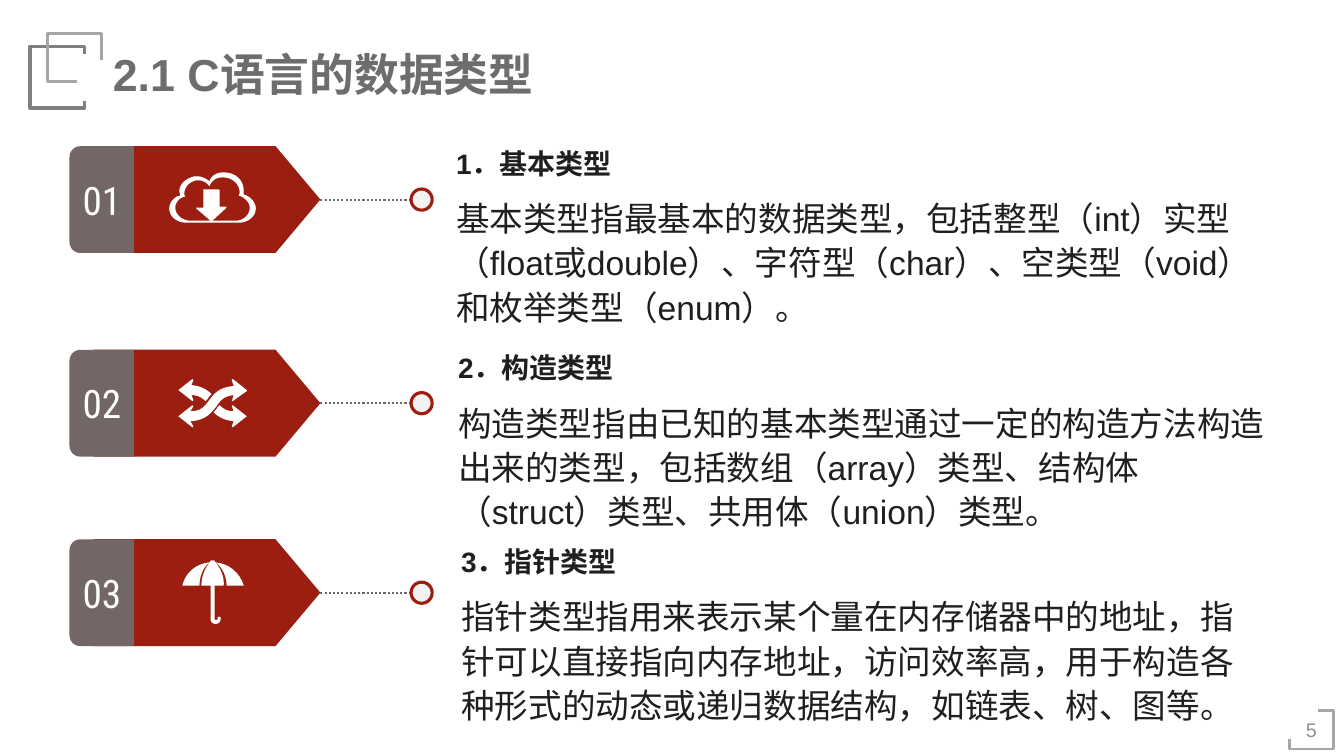
import dataclasses
import pptx
import pptx.dml.color
import pptx.enum.dml
import pptx.enum.lang
import pptx.enum.shapes
import pptx.enum.text
import pptx.oxml.ns
import pptx.util
import lxml.etree

SHAPE = pptx.enum.shapes.MSO_SHAPE
ALIGN = pptx.enum.text.PP_ALIGN
MIDDLE = pptx.enum.text.MSO_ANCHOR.MIDDLE


@dataclasses.dataclass(frozen=True)
class Theme:
    red: str = "9B1E11"
    taupe: str = "736666"
    white: str = "FFFFFF"
    dot: str = "F2F2F2"
    ink: str = "1F1F1F"
    title: str = "6D6D6D"
    number: str = "8F8F8F"
    dark_bracket: str = "7F7F7F"
    light_bracket: str = "A6A6A6"
    font: str = "Arial"
    tab_font: str = "Roboto Condensed"
    title_size: int = 32
    tab_size: int = 28
    body_size: int = 24
    head_size: int = 20
    number_size: int = 14


T = Theme()

TITLE = "2.1 C语言的数据类型"
PAGE = "5"

CLOUD = [
    [(31, -5), (31, -6, 31, -8, 31, -9), (31, -19, 23, -27, 11, -27),
     (-1, -27, -3, -18, -3, -18), (-3, -18, -9, -24, -18, -23),
     (-27, -21, -33, -15, -33, -8), (-33, -7, -32, -6, -32, -4),
     (-38, -3, -43, 3, -43, 9), (-43, 17, -35, 23, -26, 23), (26, 23),
     (35, 23, 43, 17, 43, 9), (43, 3, 38, -3, 31, -5)],
    [(23, 21), (0, 21), (2, 19, 13, 9, 13, 9), (13, 9, 15, 7, 13, 7), (7, 7),
     (7, -9), (7, -9, 7, -10, 6, -10), (-8, -10), (-10, -10, -9, -9, -9, -9),
     (-9, 8), (-15, 8), (-17, 8, -16, 9, -16, 9), (-2, 21), (-22, 21),
     (-30, 21, -37, 15, -37, 8), (-37, 3, -33, -2, -27, -3),
     (-28, -4, -28, -5, -28, -6), (-28, -12, -23, -18, -16, -19),
     (-7, -20, -3, -13, -3, -13), (-3, -13, -1, -22, 10, -22),
     (20, -22, 27, -15, 27, -7), (27, -6, 26, -4, 26, -4),
     (32, -2, 37, 3, 37, 8), (37, 15, 31, 21, 23, 21)],
]
HALF_ARROW = [(34, 13), (20, 24), (19, 23), (21, 18), (11, 17, 5, 13, 1, 9),
              (3, 7, 4, 6, 5, 4), (7, 2), (10, 5, 14, 8, 21, 8), (19, 3), (20, 2)]
SHUFFLE = [
    HALF_ARROW,
    [tuple(-v for v in step) for step in HALF_ARROW],
    [(4, 3), (8, -3, 11, -7, 21, -8), (19, -2), (20, -2), (34, -12), (34, -13),
     (20, -24), (19, -23), (21, -17), (6, -16, 1, -9, -4, -2),
     (-8, 3, -11, 8, -22, 8), (-19, 3), (-20, 2), (-34, 13), (-20, 24),
     (-19, 23), (-22, 18), (-6, 17, -1, 9, 4, 3)],
]
UMBRELLA = [
    [(14, -7), (31, -7), (27, -20, 16, -29, 3, -30), (2, -32, 2, -32, 0, -32),
     (-1, -32, -2, -32, -3, -30), (-16, -29, -27, -20, -30, -7), (-13, -7),
     (-13, -21, -5, -29, -3, -30), (-12, -18, -11, -7, -11, -7), (-2, -7),
     (-2, 26), (-2, 29, 0, 31, 3, 31), (6, 31, 8, 29, 8, 26), (8, 24), (5, 24),
     (5, 26), (5, 27, 4, 27, 3, 27), (2, 27, 2, 26, 2, 26), (2, -7), (11, -7),
     (11, -7, 13, -18, 3, -30), (5, -29, 14, -21, 14, -7)],
]

ROWS = [
    dict(tab="01", icon=CLOUD, mid=19.8, head_top=14, text_left=44.3, width=83.8,
         head="1．基本类型",
         body="基本类型指最基本的数据类型，包括整型（int）实型（float或double）、"
              "字符型（char）、空类型（void）和枚举类型（enum）。"),
    dict(tab="02", icon=SHUFFLE, mid=40, head_top=34.3, text_left=44.5, width=83.4,
         head="2．构造类型",
         body="构造类型指由已知的基本类型通过一定的构造方法构造出来的类型，"
              "包括数组（array）类型、结构体（struct）类型、共用体（union）类型。"),
    dict(tab="03", icon=UMBRELLA, mid=58.8, head_top=53.5, text_left=44.8, width=80.1,
         head="3．指针类型",
         body="指针类型指用来表示某个量在内存储器中的地址，指针可以直接指向内存地址，"
              "访问效率高，用于构造各种形式的动态或递归数据结构，如链表、树、图等。"),
]
BRACKETS = [
    ([(8.4, 5.4), (8.4, 4.6), (3, 4.6), (3, 10.7), (8.4, 10.7), (8.4, 10)],
     T.dark_bracket, 2.5),
    ([(10.1, 6), (10.1, 3.3), (4.7, 3.3), (4.7, 8.1), (7.6, 8.1)],
     T.light_bracket, 2.5),
    ([(128, 73.3), (128, 74.3), (132.4, 74.3), (132.4, 70.5), (130.8, 70.5)],
     T.light_bracket, 2),
]

CELL = 0.1
ICON_MID = 21.1
CURVE_STEPS = 8


def cells(n):
    return pptx.util.Inches(n * CELL)


def box(*lengths):
    return [cells(n) for n in lengths]


def rgb(code):
    return pptx.dml.color.RGBColor.from_string(code)


def paint(sp, fill=None, line=None, width=1):
    sp.shadow.inherit = False
    if fill:
        sp.fill.solid()
        sp.fill.fore_color.rgb = rgb(fill)
    else:
        sp.fill.background()
    if line:
        sp.line.color.rgb = rgb(line)
        sp.line.width = pptx.util.Pt(width)
    else:
        sp.line.fill.background()


def write(sp, text, size, color, font=T.font, bold=False, align=ALIGN.LEFT):
    tf = sp.text_frame
    tf.word_wrap = True
    tf.text = text
    p = tf.paragraphs[0]
    p.alignment = align
    r = p.runs[0]
    r.font.name, r.font.size, r.font.bold = font, pptx.util.Pt(size), bold
    r.font.color.rgb = rgb(color)
    r.font.language_id = pptx.enum.lang.MSO_LANGUAGE_ID.SIMPLIFIED_CHINESE
    return tf


def flatten(contour):
    points = [contour[0]]
    for step in contour[1:]:
        if len(step) == 2:
            points.append(step)
            continue
        ends = [points[-1], step[:2], step[2:4], step[4:]]
        for i in range(1, CURVE_STEPS + 1):
            t = i / CURVE_STEPS
            weights = ((1 - t) ** 3, 3 * t * (1 - t) ** 2, 3 * t * t * (1 - t), t ** 3)
            points.append(tuple(sum(w * e[k] for w, e in zip(weights, ends)) for k in (0, 1)))
    return points


def outline(s, contours, close):
    placed = [[tuple(box(*pt)) for pt in contour] for contour in contours]
    fb = s.shapes.build_freeform(*placed[0][0], scale=1.0)
    for i, points in enumerate(placed):
        if i:
            fb.move_to(*points[0])
        fb.add_line_segments(points[1:], close=close)
    return fb.convert_to_shape()


def add_badge(s, row):
    mid = row["mid"]
    arrow = s.shapes.add_shape(SHAPE.PENTAGON, *box(9.3, mid - 5.3, 22.5, 10.6))
    arrow.adjustments[0] = 0.42
    paint(arrow, T.red)

    tab = s.shapes.add_shape(SHAPE.ROUND_2_SAME_RECTANGLE, *box(4.8, mid - 3.2, 10.6, 6.4))
    tab.rotation = 270
    paint(tab, T.taupe)
    tf = write(tab, row["tab"], T.tab_size, T.white, T.tab_font, align=ALIGN.CENTER)
    tf.vertical_anchor = MIDDLE
    tf.margin_left = tf.margin_right = cells(0.5)
    tf.margin_top = tf.margin_bottom = cells(1)
    tab.text_frame._txBody.bodyPr.set("vert", "eaVert")

    link = s.shapes.add_connector(pptx.enum.shapes.MSO_CONNECTOR.STRAIGHT,
                                  *box(31.8, mid, 40.8, mid))
    link.begin_connect(arrow, 3)
    link.line.color.rgb = rgb(T.taupe)
    link.line.width = pptx.util.Pt(1.5)
    link.line.dash_style = pptx.enum.dml.MSO_LINE.ROUND_DOT
    lxml.etree.SubElement(link._element.spPr, pptx.oxml.ns.qn("a:effectLst"))

    dot = s.shapes.add_shape(SHAPE.OVAL, *box(40.8, mid - 1.05, 2.1, 2.1))
    paint(dot, T.dot, T.red, 2.25)

    icon = [[(ICON_MID + x / 10, mid + y / 10) for x, y in flatten(c)] for c in row["icon"]]
    paint(outline(s, icon, True), T.white)


def add_text(s, row):
    left, top = row["text_left"], row["head_top"]
    head = s.shapes.add_textbox(*box(left, top, 32, 4.3))
    write(head, row["head"], T.head_size, T.ink, bold=True)
    body = s.shapes.add_textbox(*box(left, top + 4.75, row["width"], 14.2))
    write(body, row["body"], T.body_size, T.ink).paragraphs[0].line_spacing = 1.1


def main():
    prs = pptx.Presentation()
    prs.slide_width, prs.slide_height = box(133.4, 75)
    s = prs.slides.add_slide(prs.slide_layouts[5])

    title = s.shapes.title
    title.left, title.top, title.width, title.height = box(10.2, 4.2, 46.1, 6.3)
    tf = write(title, TITLE, T.title_size, T.title, bold=True)
    tf.word_wrap = False
    tf.auto_size = pptx.enum.text.MSO_AUTO_SIZE.NONE
    tf.vertical_anchor = MIDDLE

    for points, color, width in BRACKETS:
        paint(outline(s, [points], False), line=color, width=width)
    number = s.shapes.add_textbox(*box(128, 69.7, 4.3, 5.4))
    tf = write(number, PAGE, T.number_size, T.number, align=ALIGN.CENTER)
    tf.vertical_anchor = MIDDLE
    tf.margin_left = tf.margin_right = cells(0.7)

    for row in ROWS:
        add_badge(s, row)
        add_text(s, row)
    prs.save("out.pptx")


if __name__ == "__main__":
    main()
